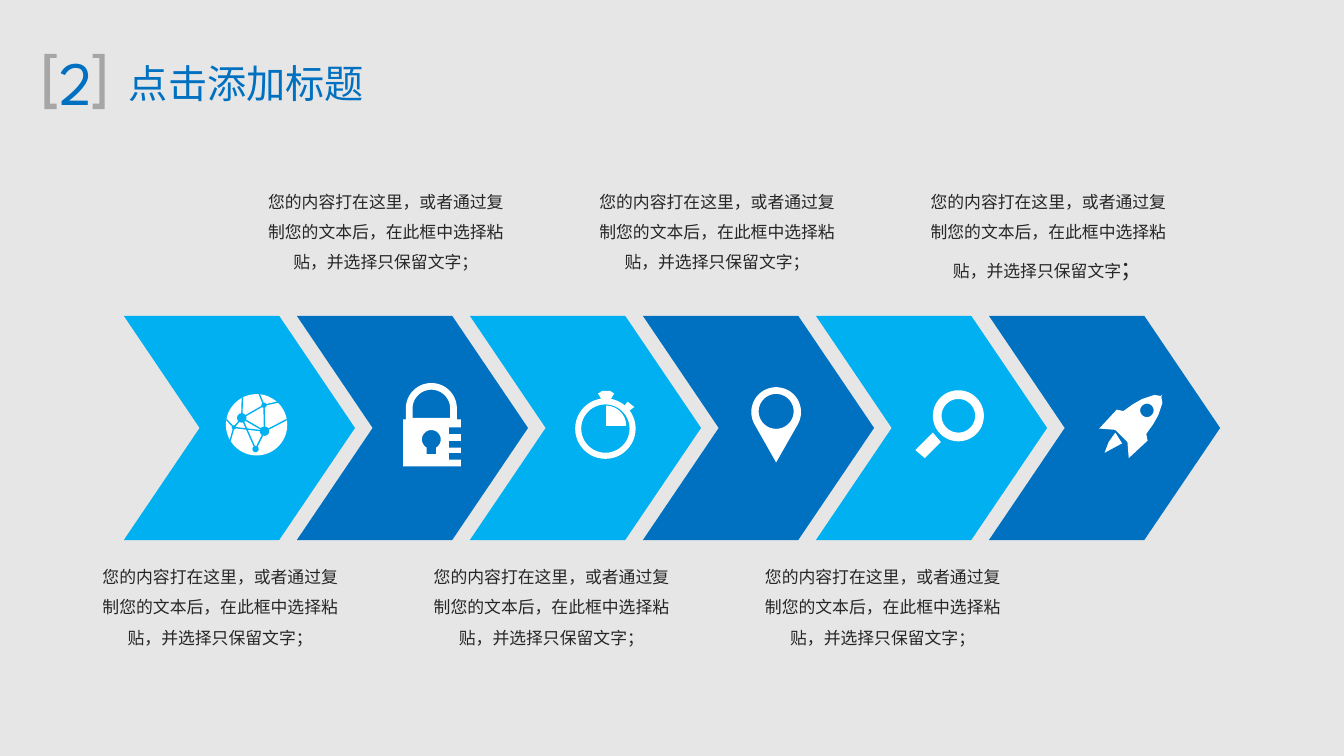
import math

from pptx import Presentation
from pptx.dml.color import RGBColor
from pptx.enum.lang import MSO_LANGUAGE_ID
from pptx.enum.shapes import MSO_CONNECTOR, MSO_SHAPE
from pptx.enum.text import MSO_ANCHOR, MSO_AUTO_SIZE, PP_ALIGN
from pptx.oxml.ns import qn
from pptx.util import Cm, Pt

CHEVRON, OVAL = MSO_SHAPE.CHEVRON, MSO_SHAPE.OVAL
STRAIGHT = MSO_CONNECTOR.STRAIGHT
CENTER = PP_ALIGN.CENTER
TOP, MIDDLE = MSO_ANCHOR.TOP, MSO_ANCHOR.MIDDLE
GROW = MSO_AUTO_SIZE.SHAPE_TO_FIT_TEXT
CHINESE = MSO_LANGUAGE_ID.SIMPLIFIED_CHINESE

UNIT = Cm(2.54) / 100  # drawing unit of the icon outlines
BODY = "您的内容打在这里，或者通过复制您的文本后，在此框中选择粘贴，并选择只保留文字"


def rgb(value):
    return RGBColor.from_string(value)


def arc(cx, cy, radius, start=0, end=360, steps=48):
    """Points along an arc, in degrees clockwise from the right."""
    angles = [math.radians(start + (end - start) * i / steps) for i in range(steps + 1)]
    return [(cx + radius * math.cos(a), cy + radius * math.sin(a)) for a in angles]


class Deck:
    heading_font = "League Spartan"
    body_font = "Noto Sans CJK SC"
    blue, sky, gray = "0070C0", "00B0F0", "A6A6A6"
    white, ink, paper = "FFFFFF", "262626", "E7E6E6"

    def __init__(self, prs):
        self.slide = prs.slides.add_slide(prs.slide_layouts[6])
        fill = self.slide.background.fill
        fill.solid()
        fill.fore_color.rgb = rgb(self.paper)

    def paint(self, sp, color):
        sp.shadow.inherit = False
        sp.fill.solid()
        sp.fill.fore_color.rgb = rgb(color)
        sp.line.fill.background()

    def text(self, left, top, width, height, runs, font, color, anchor=MIDDLE, wrap=False):
        """Add a centred text box; runs are (text, size) pairs."""
        box = self.slide.shapes.add_textbox(Cm(left), Cm(top), Cm(width), Cm(height))
        tf = box.text_frame
        tf.word_wrap, tf.auto_size, tf.vertical_anchor = wrap, GROW, anchor
        p = tf.paragraphs[0]
        p.alignment = CENTER
        for content, size in runs:
            r = p.add_run()
            r.text = content
            r.font.size, r.font.name = Pt(size), font
            r.font.color.rgb = rgb(color)
            r.font.language_id = CHINESE
            latin = r.font._element.find(qn("a:latin"))
            latin.addnext(latin.makeelement(qn("a:ea"), {"typeface": font}))
        return tf

    def body(self, left, top, runs):
        tf = self.text(left, top, 4.5, 1.73, runs, self.body_font, self.ink, TOP, True)
        tf.margin_left = tf.margin_right = tf.margin_top = tf.margin_bottom = 0
        p = tf.paragraphs[0]
        p.line_spacing, p.space_before = 1.5, Pt(1.8)

    def chevron(self, left, top, color):
        sp = self.slide.shapes.add_shape(CHEVRON, Cm(left), Cm(top), Cm(4.37), Cm(4.24))
        sp.adjustments[0] = 0.338
        self.paint(sp, color)

    def outline(self, left, top, contours, color, shapes=None):
        """Draw one freeform; inner contours become holes."""
        first, *holes = [[(x * UNIT, y * UNIT) for x, y in c] for c in contours]
        builder = (shapes or self.slide.shapes).build_freeform(*first[0])
        builder.add_line_segments(first[1:])
        for points in holes:
            builder.move_to(*points[0])
            builder.add_line_segments(points[1:])
        self.paint(builder.convert_to_shape(Cm(left), Cm(top)), color)

    def icon(self, left, top, pieces):
        shapes = self.slide.shapes
        if len(pieces) > 1:
            shapes = shapes.add_group_shape().shapes
        for contours in pieces:
            self.outline(left, top, contours, self.white, shapes)

    def disc(self, shapes, x, y, radius, color):
        size = Cm(2 * radius)
        self.paint(shapes.add_shape(OVAL, Cm(x - radius), Cm(y - radius), size, size), color)

    def globe(self, x, y, radius, nodes, links):
        """Draw a disc crossed by a network; nodes are offsets from its centre."""
        shapes = self.slide.shapes.add_group_shape().shapes
        self.disc(shapes, x, y, radius, self.white)
        for a, b in links:
            ends = [Cm(v) for n in (a, b) for v in (x + nodes[n][0], y + nodes[n][1])]
            line = shapes.add_connector(STRAIGHT, *ends)
            line.line.color.rgb, line.line.width = rgb(self.sky), Pt(0.75)
            props = line._element.spPr
            props.append(props.makeelement(qn("a:effectLst"), {}))
        for dx, dy, size in nodes.values():
            if size:
                self.disc(shapes, x + dx, y + dy, size, self.sky)


BRACKET = [(0, 0), (9, 0), (9, 3), (4, 3), (4, 37), (9, 37), (9, 41), (0, 41)]

NODES = {
    "hub": (0.15, 0.12, 0.09), "west": (-0.28, -0.13, 0.09), "north": (0.14, -0.37, 0.05),
    "south": (-0.02, 0.46, 0.06), "edge": (-0.43, 0.05, 0.04),
    "top": (0.05, -0.58, 0), "top left": (-0.27, -0.52, 0), "top right": (0.4, -0.43, 0),
    "left": (-0.57, -0.1, 0), "right": (0.57, -0.1, 0), "low left": (-0.5, 0.3, 0),
}
LINKS = [("hub", n) for n in ("west", "north", "south", "edge", "right")]
LINKS += [("west", n) for n in ("north", "south", "edge", "top left")]
LINKS += [("north", "top"), ("north", "top right"), ("edge", "left"), ("edge", "low left")]

TEETH = [(x, y + dy) for y in (52, 43, 33) for x, dy in ((43, 5), (34, 5), (34, 0), (43, 0))]
LOCK = [[
    TEETH + [(43, 27), (40, 27)] + arc(21, 19, 19, 0, -180)
    + [(2, 27), (0, 27), (0, 62), (43, 62)],
    arc(21, 19, 14, 0, -180) + [(7, 26), (35, 26)],
    arc(21, 42, 7, 120, 420) + [(24.5, 53), (17.5, 53)],
]]

STOPWATCH = [
    [arc(23, 26, 15, -90, 0) + [(23, 26)]],
    [arc(22.5, 28, 22.5), arc(22.5, 28, 18)],
    [[(20, 7), (17, 2), (20, 0), (26, 0), (29, 2), (26, 7)]],
    [[(36, 12), (39, 8), (44, 12), (40, 15)]],
]

PIN = [[arc(18.5, 18.5, 18.5, 150, 390) + [(18.5, 56)], arc(18.5, 18, 13)]]

LENS = [[arc(32, 18.5, 19), arc(32, 18.5, 12.5), [(7, 50), (0, 44), (13, 31), (19, 38)]]]

HULL = [(48, 4), (42, 3), (33, 6), (26, 10), (19, 15), (14, 14), (1, 28), (13, 29)]
MIRRORED_HULL = [(51 - y, 51 - x) for x, y in reversed(HULL)]
ROCKET = [
    [[(13, 31), (8, 38), (5, 46), (18, 39)]],
    [HULL + MIRRORED_HULL, arc(36.5, 14.5, 5)],
]


def main():
    prs = Presentation()
    prs.slide_width, prs.slide_height = Cm(25.4), Cm(14.29)
    deck = Deck(prs)

    deck.text(2.16, 0.99, 5, 1.14, [("点击添加标题", 21)], deck.heading_font, deck.blue)
    deck.text(0.84, 0.71, 1.19, 1.63, [("2", 33)], deck.heading_font, deck.blue)
    deck.outline(0.84, 1.02, [BRACKET], deck.gray)
    deck.outline(1.75, 1.02, [[(9 - x, y) for x, y in BRACKET]], deck.gray)

    for i in range(6):
        deck.chevron(2.34 + 3.27 * i, 5.97, deck.blue if i % 2 else deck.sky)
    for i in range(6):
        runs = [(BODY, 9), ("；", 12)] if i == 5 else [(BODY + "；", 9)]
        deck.body(1.91 + 3.13 * i, 3.43 if i % 2 else 10.52, runs)

    deck.globe(4.85, 8.03, 0.58, NODES, LINKS)
    deck.icon(7.62, 7.24, LOCK)
    deck.icon(10.87, 7.39, STOPWATCH)
    deck.icon(20.75, 7.39, ROCKET)
    deck.icon(14.2, 7.32, PIN)
    deck.icon(17.3, 7.39, LENS)
    prs.save("out.pptx")


if __name__ == "__main__":
    main()
